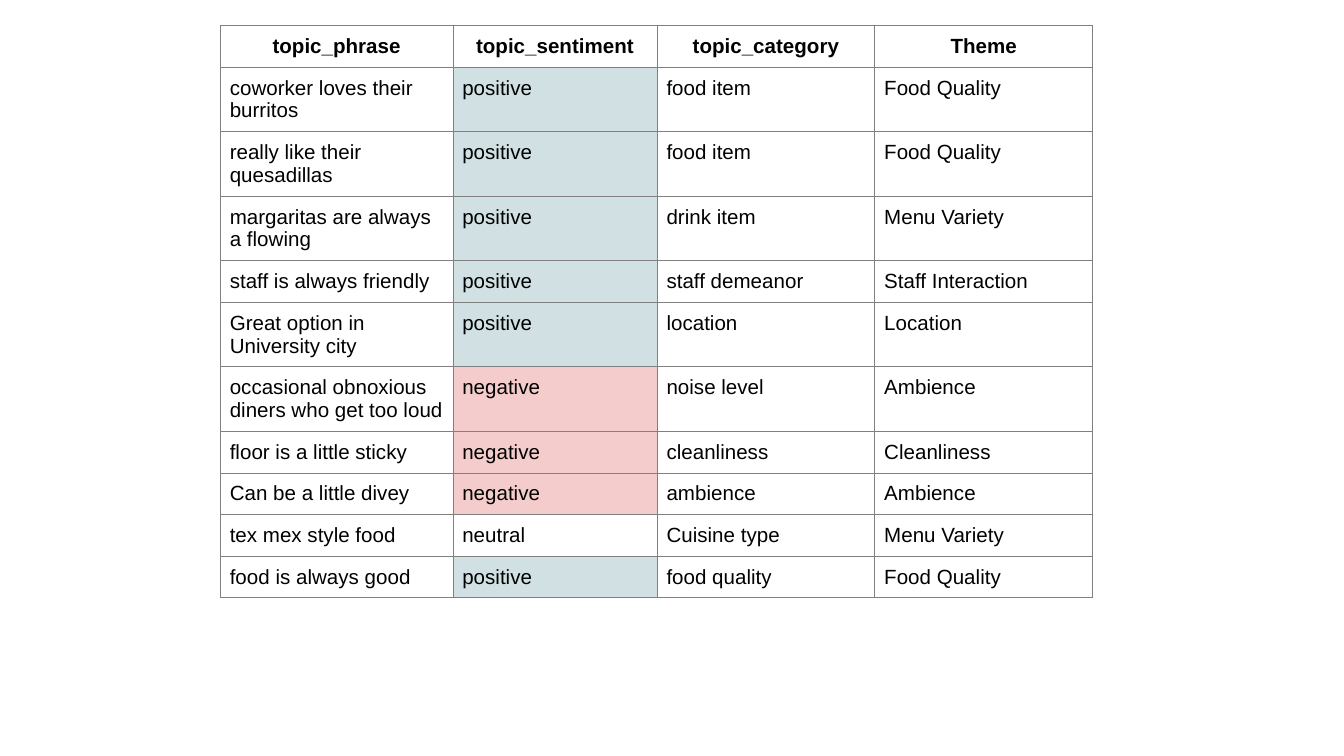
"""Build a slide with a table of review phrases, sentiments and themes."""
from lxml.etree import SubElement
from pptx import Presentation
from pptx.dml.color import RGBColor
from pptx.enum.text import PP_ALIGN
from pptx.oxml.ns import qn
from pptx.util import Inches, Pt

COLORS = {
    "text": "000000",
    "border": "808080",
    "positive": "D0E0E3",
    "negative": "F4CCCC",
}
COLUMN_WIDTHS = [1.73, 1.52, 1.62, 1.62]
SINGLE_ROW, DOUBLE_ROW = 0.29, 0.46
WRAP_LENGTH = 24
INSET = Inches(0.07)
ROWS = [
    ("topic_phrase", "topic_sentiment", "topic_category", "Theme"),
    ("coworker loves their burritos", "positive", "food item", "Food Quality"),
    ("really like their quesadillas", "positive", "food item", "Food Quality"),
    ("margaritas are always a flowing", "positive", "drink item", "Menu Variety"),
    ("staff is always friendly", "positive", "staff demeanor", "Staff Interaction"),
    ("Great option in University city", "positive", "location", "Location"),
    ("occasional obnoxious diners who get too loud", "negative", "noise level", "Ambience"),
    ("floor is a little sticky", "negative", "cleanliness", "Cleanliness"),
    ("Can be a little divey", "negative", "ambience", "Ambience"),
    ("tex mex style food", "neutral", "Cuisine type", "Menu Variety"),
    ("food is always good", "positive", "food quality", "Food Quality"),
]


def add_borders(cell):
    properties = cell._tc.get_or_add_tcPr()
    for side in ("a:lnL", "a:lnR", "a:lnT", "a:lnB"):
        line = SubElement(properties, qn(side), w=str(Pt(0.5)))
        fill = SubElement(line, qn("a:solidFill"))
        SubElement(fill, qn("a:srgbClr"), val=COLORS["border"])


deck = Presentation()
deck.slide_width = Inches(10)
deck.slide_height = deck.slide_width * 9 // 16
page = deck.slides.add_slide(deck.slide_layouts[6])

row_heights = [DOUBLE_ROW if len(row[0]) > WRAP_LENGTH else SINGLE_ROW for row in ROWS]
table = page.shapes.add_table(
    len(ROWS), len(COLUMN_WIDTHS), Inches(1.64), Inches(0.19),
    Inches(sum(COLUMN_WIDTHS)), Inches(sum(row_heights))).table
table.horz_banding = False

for column, width in zip(table.columns, COLUMN_WIDTHS):
    column.width = Inches(width)

for row_index, (values, height) in enumerate(zip(ROWS, row_heights)):
    table.rows[row_index].height = Inches(height)
    is_header = row_index == 0
    for column_index, value in enumerate(values):
        cell = table.cell(row_index, column_index)
        cell.margin_left = cell.margin_right = INSET
        cell.margin_top = cell.margin_bottom = INSET
        add_borders(cell)
        if value in ("positive", "negative"):
            cell.fill.solid()
            cell.fill.fore_color.rgb = RGBColor.from_string(COLORS[value])
        else:
            cell.fill.background()
        cell.text = value
        para = cell.text_frame.paragraphs[0]
        para.alignment = PP_ALIGN.CENTER if is_header else PP_ALIGN.LEFT
        para.font.name = "Arial"
        para.font.size = Pt(11)
        para.font.bold = is_header
        para.font.color.rgb = RGBColor.from_string(COLORS["text"])

deck.save("out.pptx")
